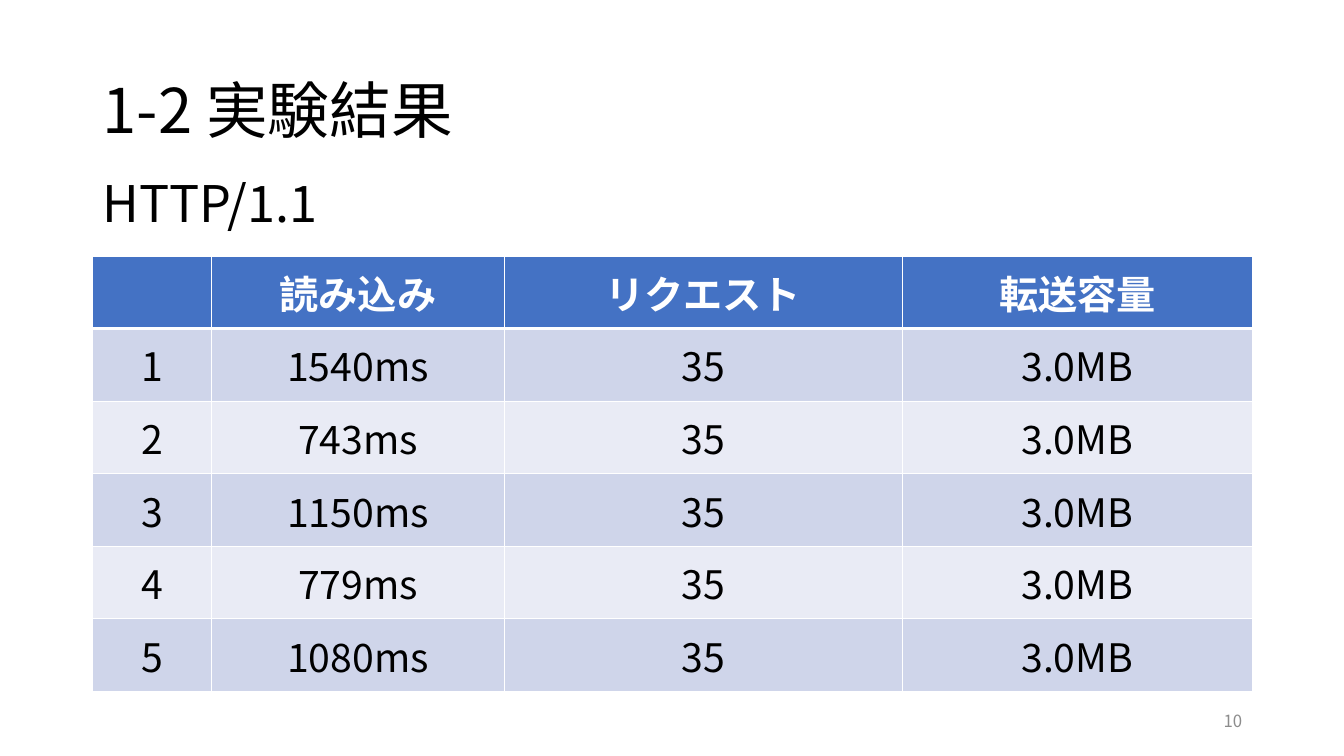
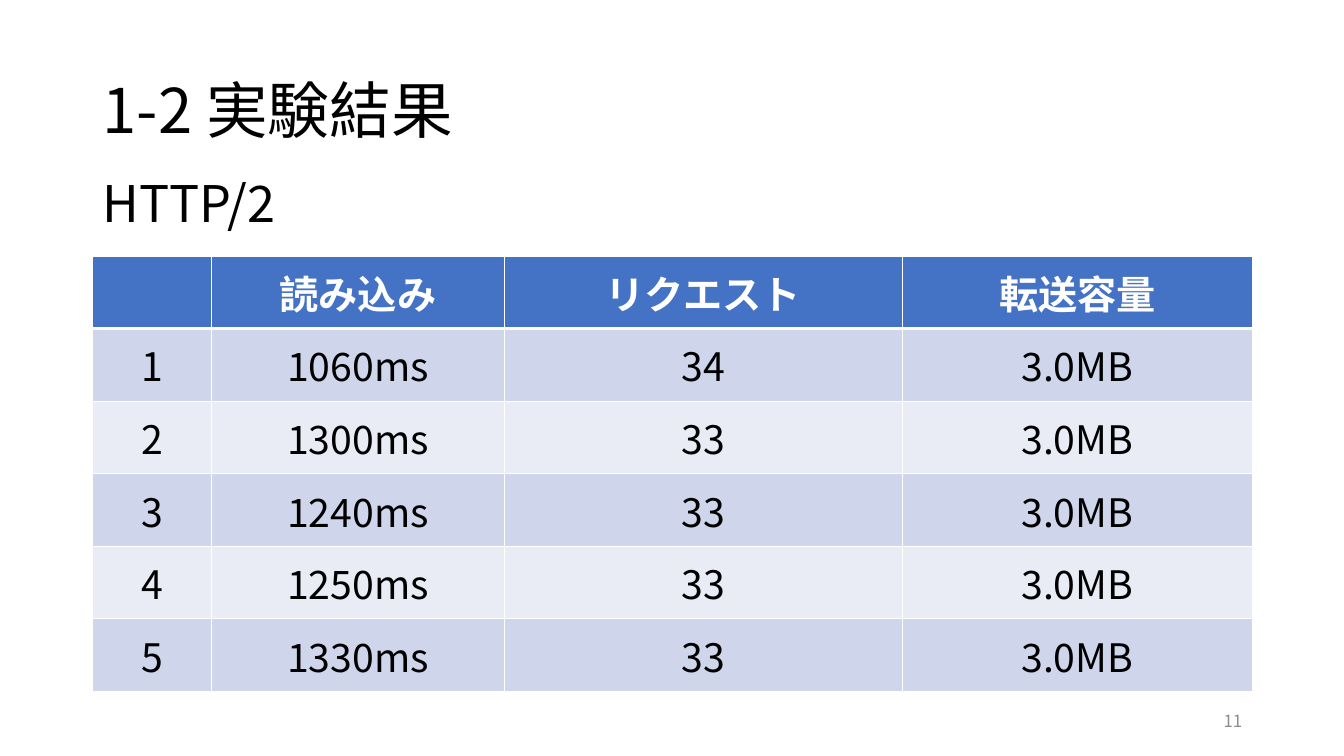
import pptx
import pptx.dml.color
import pptx.enum.text
import pptx.oxml.ns
import pptx.util
from lxml import etree

Inches = pptx.util.Inches
Pt = pptx.util.Pt
RGBColor = pptx.dml.color.RGBColor
Align = pptx.enum.text.PP_ALIGN
Anchor = pptx.enum.text.MSO_ANCHOR
qn = pptx.oxml.ns.qn

TITLE = "1-2 実験結果"
HEADINGS = ("", "読み込み", "リクエスト", "転送容量")
EXPERIMENTS = [
    {
        "protocol": "HTTP/1.1",
        "page": 10,
        "load_times": (1540, 743, 1150, 779, 1080),
        "requests": (35, 35, 35, 35, 35),
    },
    {
        "protocol": "HTTP/2",
        "page": 11,
        "load_times": (1060, 1300, 1240, 1250, 1330),
        "requests": (34, 33, 33, 33, 33),
    },
]
TRANSFER = "3.0MB"

FONT = "Noto Sans CJK JP"
BLACK = RGBColor(0x00, 0x00, 0x00)
WHITE = RGBColor(0xFF, 0xFF, 0xFF)
GRAY = RGBColor(0x8C, 0x8C, 0x8C)
BLUE = RGBColor(0x44, 0x72, 0xC4)
BANDS = (RGBColor(0xCF, 0xD5, 0xEA), RGBColor(0xE9, 0xEB, 0xF5))

LEFT = 0.92
TABLE_TOP = 2.54
COLUMN_WIDTHS = (1.18, 2.9, 3.95, 3.47)
ROW_HEIGHT = 0.72


def add_run(paragraph, text, size, color, bold=False):
    run = paragraph.add_run()
    run.text = text
    run.font.size = Pt(size)
    run.font.bold = bold
    run.font.color.rgb = color
    run.font.name = FONT
    etree.SubElement(run.font._element, qn("a:ea"), typeface=FONT)


def add_text(slide, text, box, size, color=BLACK, align=Align.LEFT,
             anchor=Anchor.MIDDLE, line_spacing=None):
    frame = slide.shapes.add_textbox(*map(Inches, box)).text_frame
    frame.word_wrap = True
    frame.vertical_anchor = anchor
    paragraph = frame.paragraphs[0]
    paragraph.alignment = align
    paragraph.line_spacing = line_spacing
    add_run(paragraph, text, size, color)


def set_borders(cell, top=1, bottom=1):
    properties = cell._tc.get_or_add_tcPr()
    for side, width in (("L", 1), ("R", 1), ("T", top), ("B", bottom)):
        line = etree.SubElement(properties, qn(f"a:ln{side}"), w=str(Pt(width)))
        fill = etree.SubElement(line, qn("a:solidFill"))
        etree.SubElement(fill, qn("a:srgbClr"), val=str(WHITE))


def add_results(slide, experiment):
    trials = zip(experiment["load_times"], experiment["requests"])
    rows = [HEADINGS] + [
        (str(number), f"{load_time}ms", str(requests), TRANSFER)
        for number, (load_time, requests) in enumerate(trials, 1)
    ]
    table = slide.shapes.add_table(
        len(rows), len(HEADINGS), Inches(LEFT), Inches(TABLE_TOP),
        Inches(sum(COLUMN_WIDTHS)), Inches(ROW_HEIGHT * len(rows))).table
    for column, width in zip(table.columns, COLUMN_WIDTHS):
        column.width = Inches(width)
    for r, values in enumerate(rows):
        table.rows[r].height = Inches(ROW_HEIGHT)
        heading = r == 0
        for c, value in enumerate(values):
            cell = table.cell(r, c)
            set_borders(cell, top=3 if r == 1 else 1, bottom=3 if heading else 1)
            cell.fill.solid()
            cell.fill.fore_color.rgb = BLUE if heading else BANDS[(r - 1) % 2]
            cell.vertical_anchor = Anchor.MIDDLE
            paragraph = cell.text_frame.paragraphs[0]
            paragraph.alignment = Align.CENTER
            if value:
                add_run(paragraph, value, 28, WHITE if heading else BLACK, heading)


def main():
    deck = pptx.Presentation()
    deck.slide_width = Inches(13.33)
    deck.slide_height = Inches(7.5)
    for experiment in EXPERIMENTS:
        slide = deck.slides.add_slide(deck.slide_layouts[6])
        add_text(slide, TITLE, (LEFT, 0.4, 11.5, 1.45), 44, line_spacing=0.9)
        add_results(slide, experiment)
        add_text(slide, str(experiment["page"]), (9.42, 6.95, 3, 0.4), 12,
                 GRAY, Align.RIGHT)
        add_text(slide, experiment["protocol"], (LEFT, 1.66, 4.8, 0.71), 36,
                 anchor=Anchor.TOP)
    deck.save("out.pptx")


if __name__ == "__main__":
    main()
